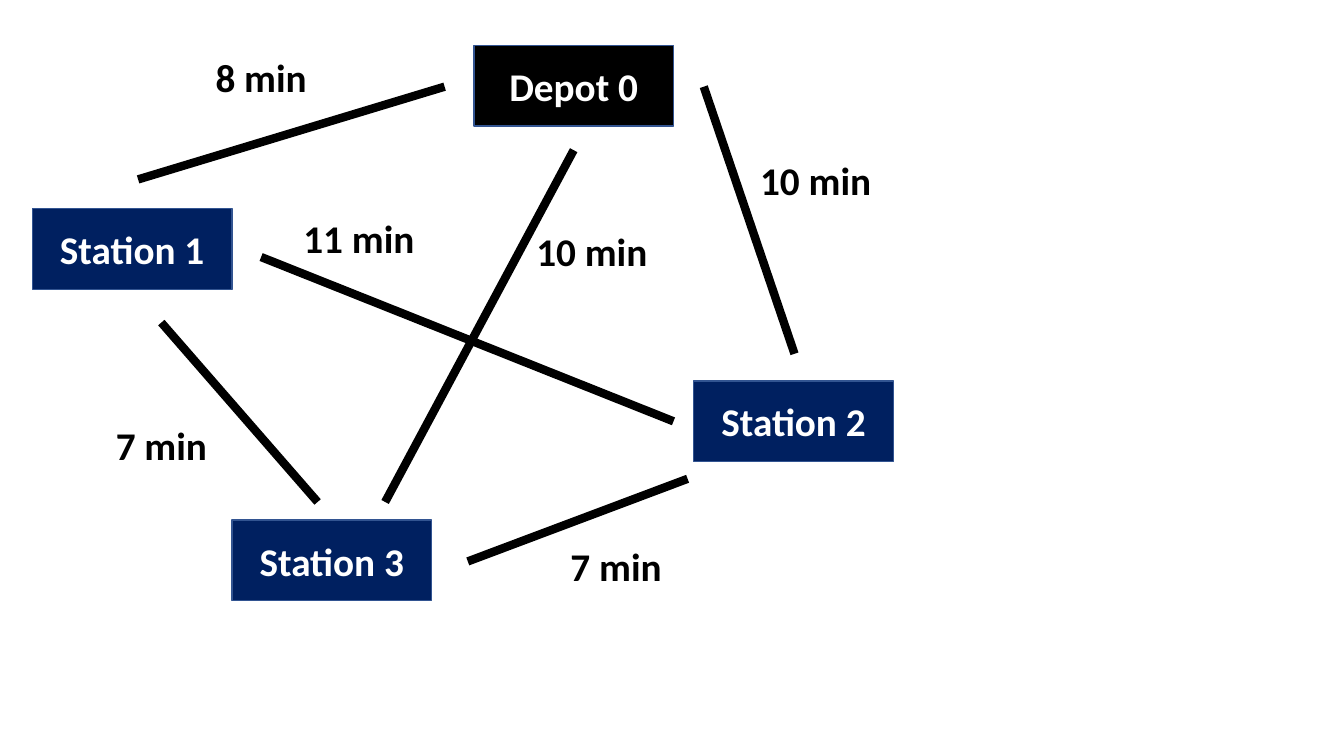
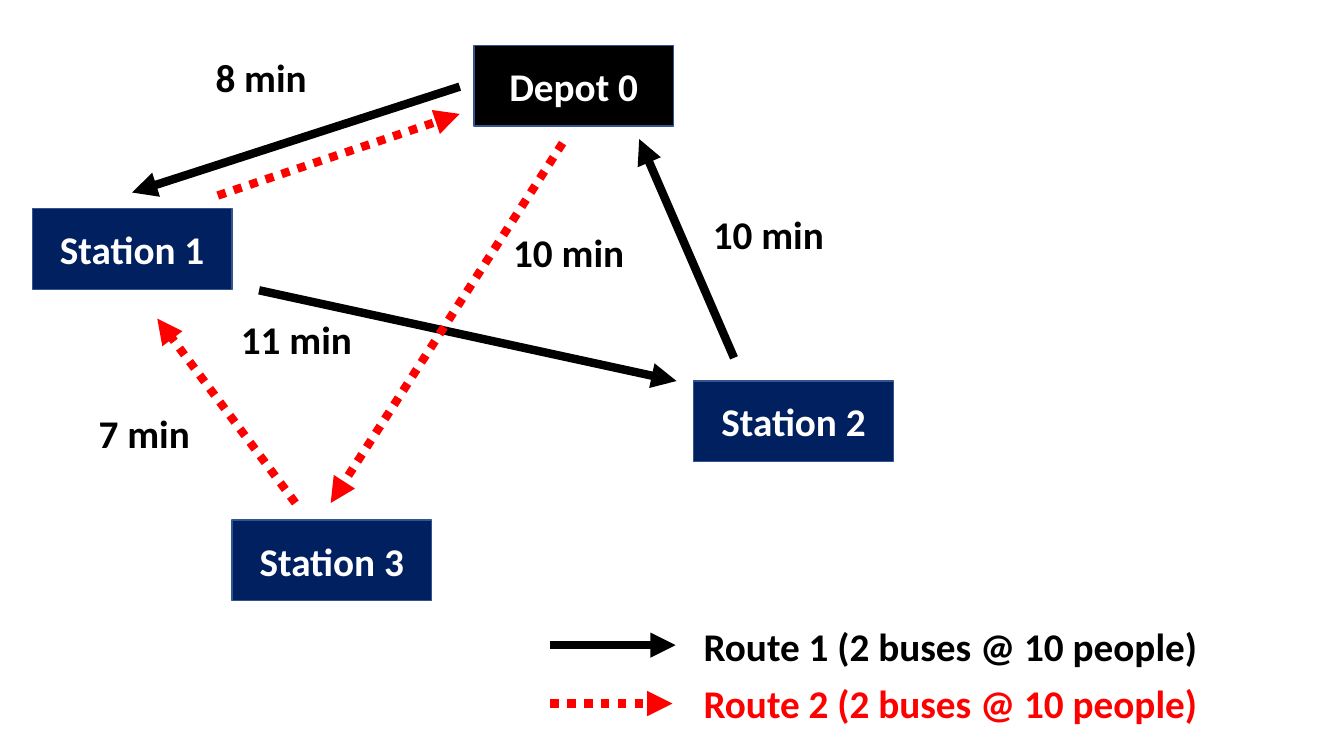
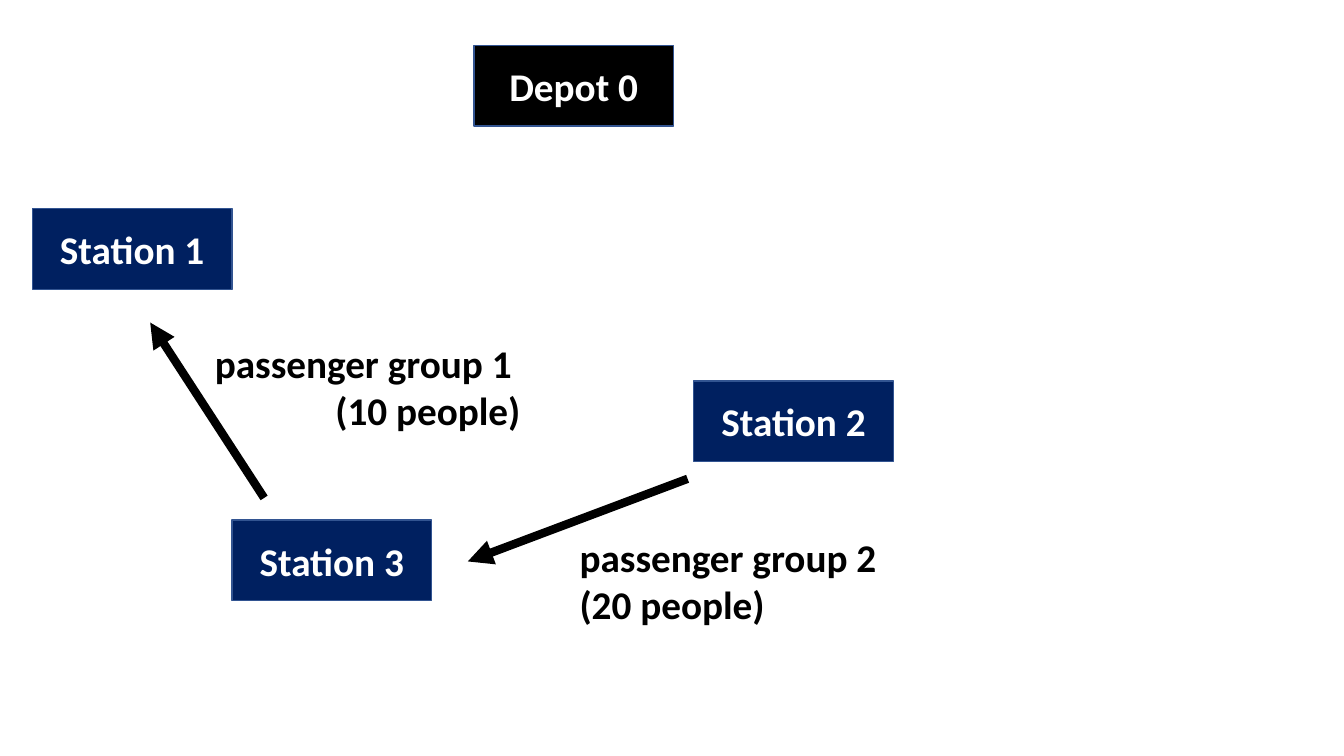
from pptx import Presentation
from pptx.dml.color import RGBColor
from pptx.enum.dml import MSO_LINE
from pptx.enum.shapes import MSO_CONNECTOR, MSO_SHAPE
from pptx.enum.text import MSO_ANCHOR, MSO_AUTO_SIZE, PP_ALIGN
from pptx.oxml.ns import qn
from pptx.util import Inches, Pt
from lxml import etree

RECTANGLE = MSO_SHAPE.RECTANGLE
STRAIGHT = MSO_CONNECTOR.STRAIGHT
DOTTED = MSO_LINE.ROUND_DOT
MIDDLE = MSO_ANCHOR.MIDDLE
FIT_TEXT = MSO_AUTO_SIZE.SHAPE_TO_FIT_TEXT
LEFT, CENTER, RIGHT = PP_ALIGN.LEFT, PP_ALIGN.CENTER, PP_ALIGN.RIGHT

BLACK, WHITE, NAVY, RED, OUTLINE = "000000", "FFFFFF", "002060", "FF0000", "325491"
STOPS = [
    ("Station 1", 0.32, 2.07, NAVY),
    ("Station 2", 6.88, 3.78, NAVY),
    ("Station 3", 2.3, 5.16, NAVY),
    ("Depot 0", 4.7, 0.45, BLACK),
]
STATION_2_TO_3 = ((6.82, 4.75), (4.64, 5.57))


def rgb(color):
    return RGBColor.from_string(color)


class RouteMap:
    """Style of the network diagrams and the slide being drawn."""

    font_name = "Calibri"
    font_size = Pt(28)
    line_width = Pt(6)
    stop_size = (Inches(1.98), Inches(0.8))

    def __init__(self):
        self.presentation = Presentation()
        self.presentation.slide_width = Inches(13.33)
        self.presentation.slide_height = Inches(7.5)
        self.slide = None

    def new_slide(self):
        """Start a slide that shows the depot and the three stations."""
        blank_layout = self.presentation.slide_layouts[6]
        self.slide = self.presentation.slides.add_slide(blank_layout)
        for name, left, top, color in STOPS:
            self.stop(name, left, top, color)

    def add_lines(self, text_frame, lines, color, alignment):
        for number, line in enumerate(lines):
            paragraph = text_frame.add_paragraph() if number else text_frame.paragraphs[0]
            paragraph.alignment = alignment
            run = paragraph.add_run()
            run.text = line
            run.font.name = self.font_name
            run.font.size = self.font_size
            run.font.bold = True
            run.font.color.rgb = rgb(color)

    def stop(self, name, left, top, color):
        shape = self.slide.shapes.add_shape(
            RECTANGLE, Inches(left), Inches(top), *self.stop_size)
        shape.shadow.inherit = False
        shape.fill.solid()
        shape.fill.fore_color.rgb = rgb(color)
        shape.line.color.rgb = rgb(OUTLINE)
        shape.line.width = Pt(1)
        shape.text_frame.vertical_anchor = MIDDLE
        self.add_lines(shape.text_frame, [name], WHITE, CENTER)

    def label(self, lines, left, top, width, color=BLACK, alignment=LEFT):
        height = 0.1 + 0.47 * len(lines)
        text_box = self.slide.shapes.add_textbox(
            Inches(left), Inches(top), Inches(width), Inches(height))
        text_box.text_frame.word_wrap = False
        text_box.text_frame.auto_size = FIT_TEXT
        self.add_lines(text_box.text_frame, lines, color, alignment)

    def travel_time(self, minutes, left, top):
        width = 1.32 if minutes >= 10 else 1.12
        self.label([f"{minutes} min"], left, top, width, alignment=CENTER)

    def link(self, start, end, color=BLACK, dotted=False, arrow=True):
        """Draw a line from start to end, with an arrowhead at end if wanted."""
        points = [Inches(value) for value in (*start, *end)]
        connector = self.slide.shapes.add_connector(STRAIGHT, *points)
        connector.line.color.rgb = rgb(color)
        connector.line.width = self.line_width
        if dotted:
            connector.line.dash_style = DOTTED
        properties = connector._element.spPr
        if arrow:
            etree.SubElement(properties.find(qn("a:ln")), qn("a:tailEnd"), type="triangle")
        etree.SubElement(properties, qn("a:effectLst"))


def draw_network(route_map):
    route_map.new_slide()
    roads = [
        ((2.59, 2.55), (6.68, 4.18)),
        STATION_2_TO_3,
        ((1.6, 3.2), (3.15, 4.98)),
        ((6.98, 0.86), (7.88, 3.51)),
        ((4.41, 0.86), (1.37, 1.78)),
        ((5.69, 1.49), (3.82, 4.98)),
    ]
    for start, end in roads:
        route_map.link(start, end, arrow=False)
    times = [(10, 7.43, 1.5), (7, 5.55, 5.33), (7, 1.04, 4.13),
             (8, 2.03, 0.48), (10, 5.21, 2.21), (11, 2.9, 2.08)]
    for time in times:
        route_map.travel_time(*time)


def draw_routes(route_map):
    route_map.new_slide()
    # Each route: name, color, dotted, legend arrow end and height, label top, legs
    routes = [
        ("Route 1", BLACK, False, 6.7, 6.4, 6.12, [
            ((4.56, 0.86), (1.31, 1.91)),
            ((2.57, 2.88), (6.71, 3.78)),
            ((7.28, 3.55), (6.34, 1.38)),
        ]),
        ("Route 2", RED, True, 6.67, 6.98, 6.69, [
            ((2.16, 1.94), (4.56, 1.13)),
            ((2.93, 4.99), (1.56, 3.16)),
            ((5.58, 1.42), (3.28, 4.99)),
        ]),
    ]
    for name, color, dotted, key_end, key_top, label_top, legs in routes:
        key = ((5.46, key_top), (key_end, key_top))
        for start, end in [*legs, key]:
            route_map.link(start, end, color, dotted)
        route_map.label([f"{name} (2 buses @ 10 people)"], 6.88, label_top, 5.15, color)
    times = [(10, 6.96, 2.04), (8, 2.03, 0.48), (10, 4.98, 2.22),
             (11, 2.28, 3.08), (7, 0.87, 4.01)]
    for time in times:
        route_map.travel_time(*time)


def draw_passengers(route_map):
    route_map.new_slide()
    route_map.link((2.62, 4.94), (1.49, 3.2))
    route_map.label(["passenger group 1 ", "(10 people)"], 1.99, 3.32, 3.27, alignment=RIGHT)
    route_map.link(*STATION_2_TO_3)
    route_map.label(["passenger group 2", "(20 people)"], 5.65, 5.24, 3.27)


def main():
    route_map = RouteMap()
    draw_network(route_map)
    draw_routes(route_map)
    draw_passengers(route_map)
    route_map.presentation.save("out.pptx")


if __name__ == "__main__":
    main()
